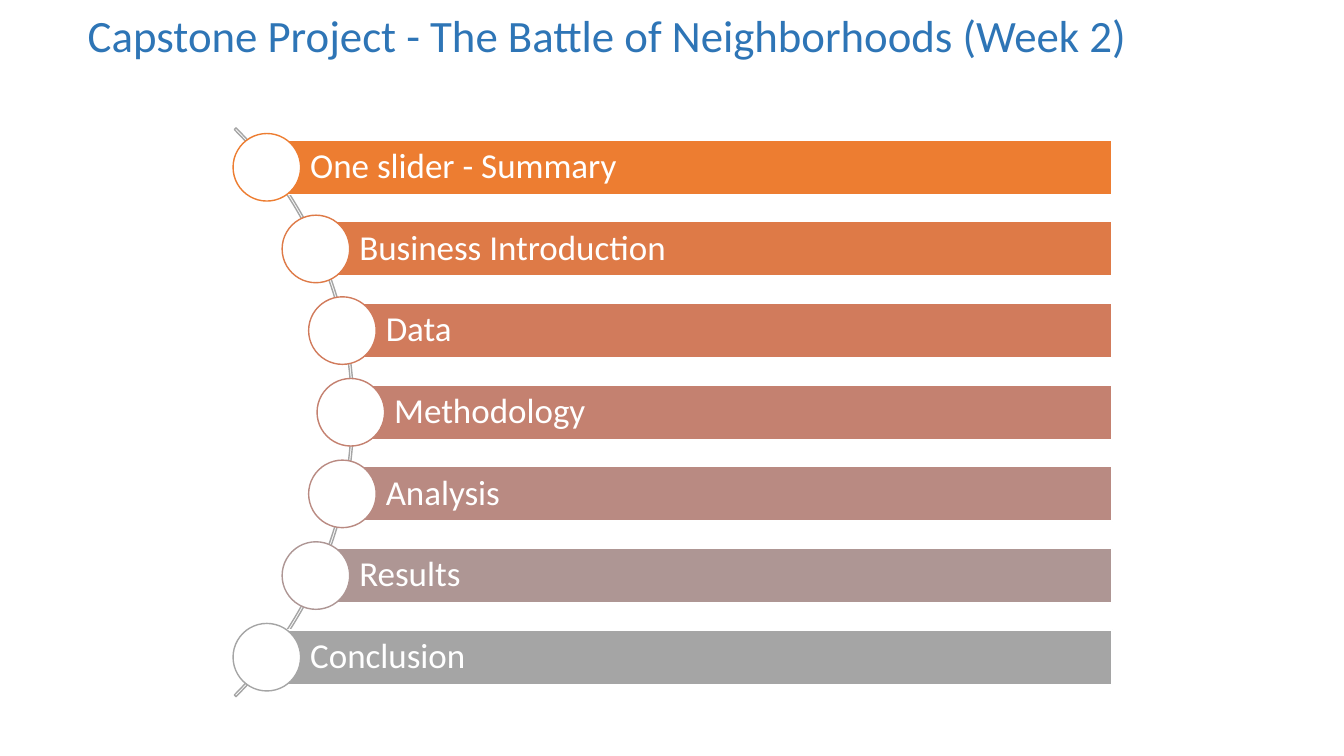
from math import sqrt

from pptx import Presentation
from pptx.dml.color import RGBColor
from pptx.enum.shapes import MSO_SHAPE
from pptx.enum.text import MSO_ANCHOR, PP_ALIGN
from pptx.util import Inches, Pt

TOPICS = [
    ("One slider - Summary", "ED7D31"),
    ("Business Introduction", "DE7A47"),
    ("Data", "D17B5C"),
    ("Methodology", "C48170"),
    ("Analysis", "B98A82"),
    ("Results", "AE9694"),
    ("Conclusion", "A5A5A5"),
]
HUB_X, HUB_Y, RADIUS = -0.48, 4.09, 3.96
ARC_SIZE = 7.98
PITCH = 0.81
BAR_RIGHT, BAR_HEIGHT = 11.03, 0.54
DOT_SIZE = 0.67


def color(code):
    return RGBColor.from_string(code)


def add_shape(slide, kind, box, line, fill=None):
    shape = slide.shapes.add_shape(kind, *map(Inches, box))
    shape.shadow.inherit = False
    if fill:
        shape.fill.solid()
        shape.fill.fore_color.rgb = color(fill)
    else:
        shape.fill.background()
    shape.line.color.rgb = color(line)
    shape.line.width = Pt(1)
    return shape


def set_text(shape, text, size, code, anchor, insets):
    frame = shape.text_frame
    frame.text = text
    frame.word_wrap = True
    frame.vertical_anchor = anchor
    (frame.margin_left, frame.margin_top,
     frame.margin_right, frame.margin_bottom) = map(Inches, insets)
    para = frame.paragraphs[0]
    para.alignment = PP_ALIGN.LEFT
    para.line_spacing = 0.9
    para.font.name = "Calibri"
    para.font.size = Pt(size)
    para.font.color.rgb = color(code)


def add_title(slide, text):
    title = slide.shapes.title
    title.left, title.top = Inches(0.77), Inches(0.11)
    title.width, title.height = Inches(12.37), Inches(1.01)
    set_text(title, text, 32, "2E75B6", MSO_ANCHOR.TOP, (0.1, 0.03, 0.1, 0.05))


def add_arc(slide):
    half = ARC_SIZE / 2
    box = (HUB_X - half, HUB_Y - half, ARC_SIZE, ARC_SIZE)
    arc = add_shape(slide, MSO_SHAPE.BLOCK_ARC, box, "A5A5A5")
    for i, value in enumerate((189, 27, 0.003)):
        arc.adjustments[i] = value


def add_topic(slide, text, code, offset):
    x = HUB_X + sqrt(RADIUS ** 2 - offset ** 2)
    y = HUB_Y + offset
    bar = add_shape(slide, MSO_SHAPE.RECTANGLE,
                    (x, y - BAR_HEIGHT / 2, BAR_RIGHT - x, BAR_HEIGHT),
                    "FFFFFF", code)
    set_text(bar, text, 25, "FFFFFF", MSO_ANCHOR.MIDDLE,
             (0.43, 0.07, 0.07, 0.07))
    half = DOT_SIZE / 2
    add_shape(slide, MSO_SHAPE.OVAL, (x - half, y - half, DOT_SIZE, DOT_SIZE),
              code, "FFFFFF")


def main():
    deck = Presentation()
    deck.slide_width, deck.slide_height = Inches(13.33), Inches(7.5)
    slide = deck.slides.add_slide(deck.slide_layouts[5])
    add_title(slide, "Capstone Project - The Battle of Neighborhoods (Week 2)")
    add_arc(slide)
    middle = len(TOPICS) // 2
    for i, (text, code) in enumerate(TOPICS):
        add_topic(slide, text, code, (i - middle) * PITCH)
    deck.save("out.pptx")


if __name__ == "__main__":
    main()
